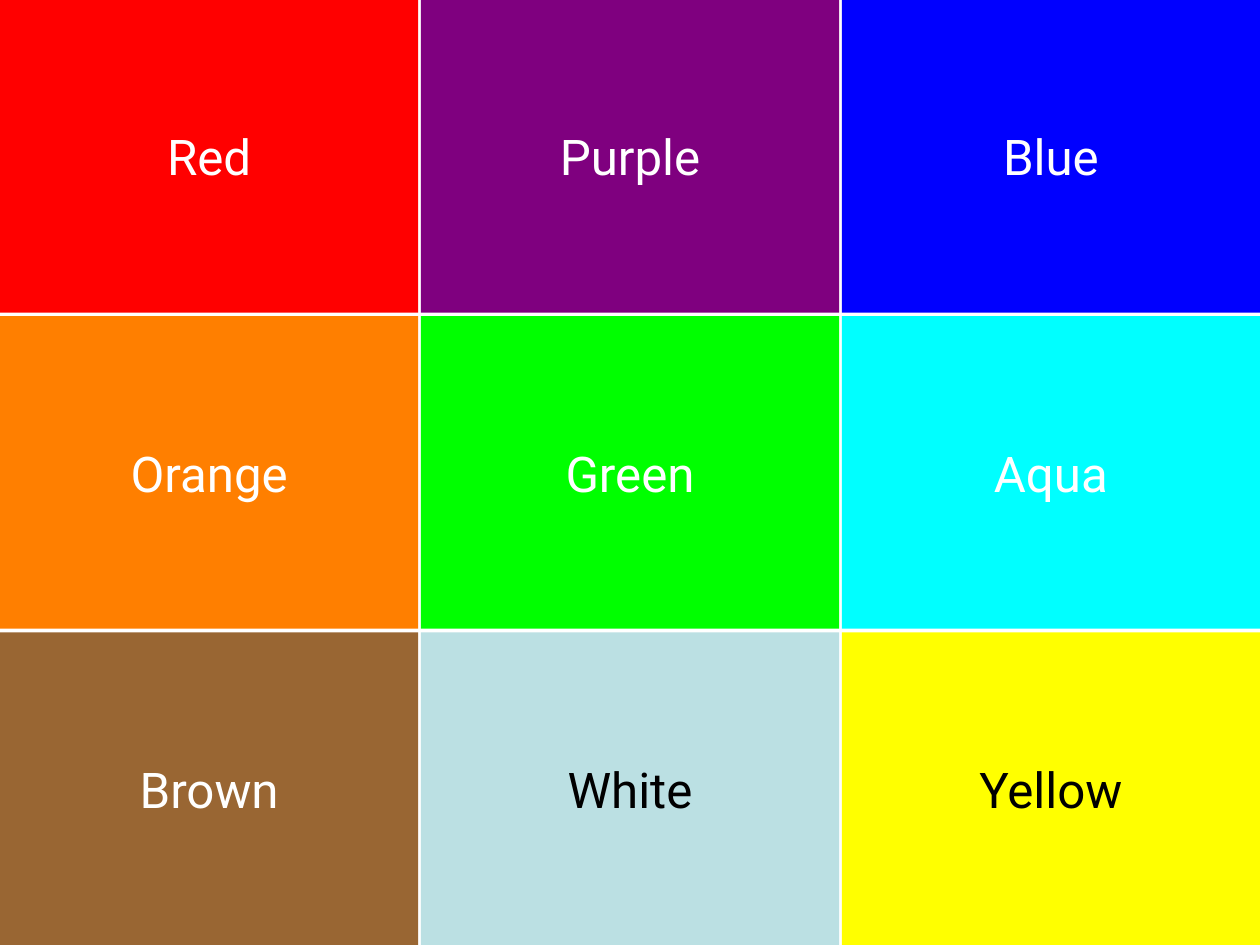
from pptx import Presentation
from pptx.dml.color import RGBColor
from pptx.enum.shapes import MSO_SHAPE
from pptx.enum.text import MSO_ANCHOR, PP_ALIGN
from pptx.util import Inches, Pt

RECT = MSO_SHAPE.RECTANGLE
MIDDLE = MSO_ANCHOR.MIDDLE
CENTER = PP_ALIGN.CENTER

THEME = {
    "font": "Roboto",
    "size": Pt(40),
    "light": "FFFFFF",
    "dark": "000000",
    "swatches": [
        [("Red", "FF0000", "light"), ("Purple", "7F007F", "light"), ("Blue", "0000FF", "light")],
        [("Orange", "FF7F00", "light"), ("Green", "00FF00", "light"), ("Aqua", "00FFFF", "light")],
        [("Brown", "996633", "light"), ("White", "BBE0E3", "dark"), ("Yellow", "FFFF00", "dark")],
    ],
}
FRAME_FORMAT = {
    "margin_left": 0,
    "margin_right": 0,
    "margin_top": 0,
    "margin_bottom": 0,
    "vertical_anchor": MIDDLE,
    "word_wrap": True,
}
FONT_FORMAT = {"name": THEME["font"], "size": THEME["size"]}

prs = Presentation()
prs.slide_width, prs.slide_height = Inches(14.22), Inches(10.67)
s = prs.slides.add_slide(prs.slide_layouts[6])

# Three equal columns and rows fill the slide, parted by thin white gaps
COUNT = 3
gap_x, gap_y = Inches(0.03), Inches(0.04)
cell_w = (prs.slide_width - (COUNT - 1) * gap_x) // COUNT
cell_h = (prs.slide_height - (COUNT - 1) * gap_y) // COUNT

for row, swatches in enumerate(THEME["swatches"]):
    group = s.shapes.add_group_shape()
    for col, (label, fill, ink) in enumerate(swatches):
        sp = group.shapes.add_shape(
            RECT, col * (cell_w + gap_x), row * (cell_h + gap_y), cell_w, cell_h)
        sp.shadow.inherit = False
        sp.fill.solid()
        sp.fill.fore_color.rgb = RGBColor.from_string(fill)
        sp.line.fill.background()

        tf = sp.text_frame
        for name, value in FRAME_FORMAT.items():
            setattr(tf, name, value)
        p = tf.paragraphs[0]
        p.alignment = CENTER
        r = p.add_run()
        r.text = label
        for name, value in FONT_FORMAT.items():
            setattr(r.font, name, value)
        r.font.color.rgb = RGBColor.from_string(THEME[ink])

prs.save("out.pptx")
